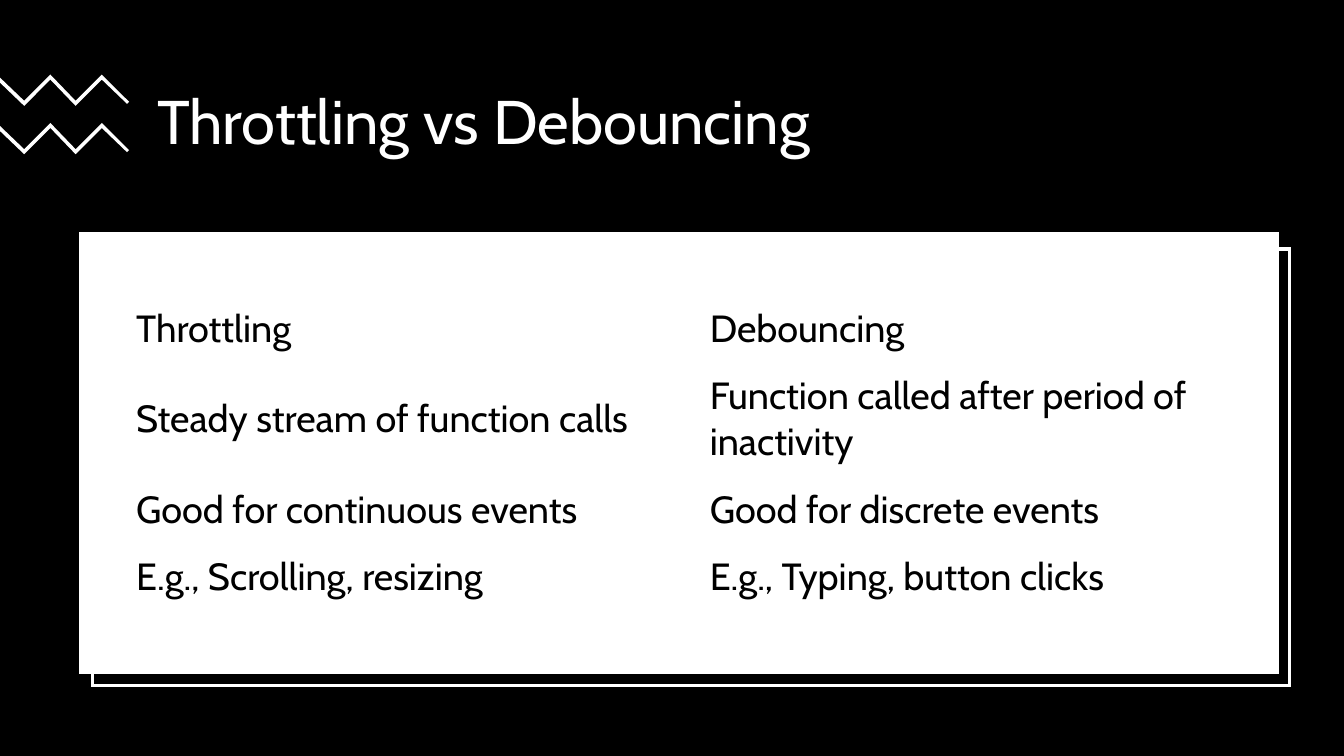
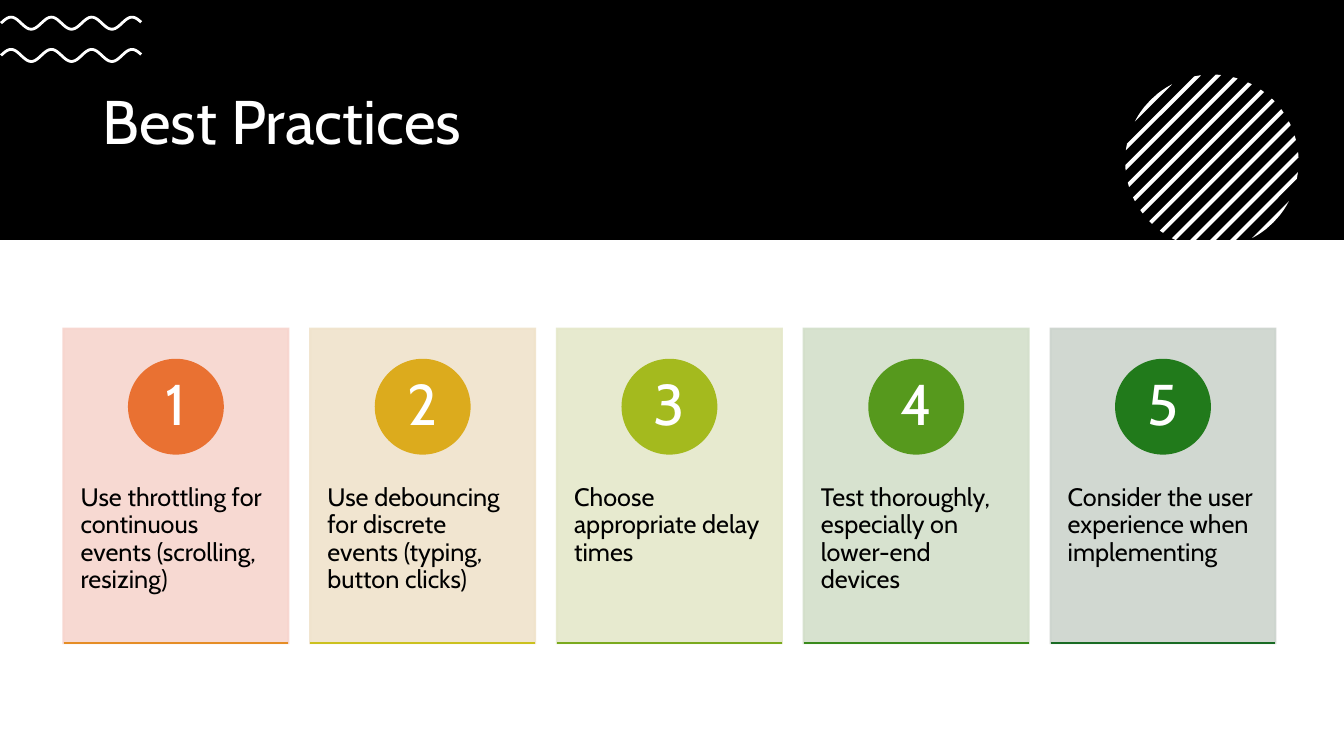
from math import cos, pi, sqrt

from lxml import etree
from pptx import Presentation
from pptx.dml.color import RGBColor
from pptx.enum.shapes import MSO_CONNECTOR, MSO_SHAPE
from pptx.enum.text import MSO_ANCHOR, PP_ALIGN
from pptx.oxml.ns import qn
from pptx.util import Inches, Pt

FONT = "Cabin"
BLACK = "000000"
WHITE = "FFFFFF"
SLIDE_W, SLIDE_H = 13.33, 7.5
BAND_H = 2.38

COMPARISON = [
    ("Throttling", "Debouncing"),
    ("Steady stream of function calls", "Function called after period of inactivity"),
    ("Good for continuous events", "Good for discrete events"),
    ("E.g., Scrolling, resizing", "E.g., Typing, button clicks"),
]

# text, card colour, circle colour, rule colour
PRACTICES = [
    ("Use throttling for continuous events (scrolling, resizing)", "F7D5CE", "E97132", "E58D25"),
    ("Use debouncing for discrete events (typing, button clicks)", "F0E3CB", "DCAB1D", "CBC11E"),
    ("Choose appropriate delay times", "E5E8CA", "A4BA1E", "7AAA1E"),
    ("Test thoroughly, especially on lower-end devices", "D3DFCA", "56991D", "398A1C"),
    ("Consider the user experience when implementing", "CCD4CD", "217A1B", "196B24"),
]


def rgb(color):
    return RGBColor.from_string(color)


def paint(sp, fill=None, line=None, width=1.5):
    sp.shadow.inherit = False
    if fill:
        sp.fill.solid()
        sp.fill.fore_color.rgb = rgb(fill)
    else:
        sp.fill.background()
    if line:
        sp.line.color.rgb = rgb(line)
        sp.line.width = Pt(width)
        etree.SubElement(sp.line._ln, qn("a:miter")).set("lim", "800000")
    else:
        sp.line.fill.background()


def set_alpha(sp, percent):
    """Make the fill and the line of a shape partly transparent."""
    for clr in sp.fill._xPr.iter(qn("a:srgbClr")):
        etree.SubElement(clr, qn("a:alpha")).set("val", str(percent * 1000))


def add_preset(s, kind, x, y, w, h, fill, line=None, width=1.5):
    sp = s.shapes.add_shape(kind, Inches(x), Inches(y), Inches(w), Inches(h))
    paint(sp, fill, line, width)
    return sp


def add_outline(s, points, closed, **style):
    corners = [(Inches(x), Inches(y)) for x, y in points]
    builder = s.shapes.build_freeform(*corners[0])
    builder.add_line_segments(corners[1:], close=closed)
    paint(builder.convert_to_shape(), **style)


def write(tf, text, size, color, anchor, margins, align=PP_ALIGN.LEFT, spacing=0.9):
    """Fill a text frame or table cell; margins are (horizontal, top, bottom)."""
    side, top, bottom = margins
    tf.margin_left = tf.margin_right = Inches(side)
    tf.margin_top, tf.margin_bottom = Inches(top), Inches(bottom)
    tf.vertical_anchor = anchor
    tf.text = text
    p = getattr(tf, "text_frame", tf).paragraphs[0]
    p.alignment = align
    p.line_spacing = spacing
    p.font.size = Pt(size)
    p.font.name = FONT
    p.font.color.rgb = rgb(color)


def add_header(s, text, left, width, band_height):
    add_preset(s, MSO_SHAPE.RECTANGLE, 0, 0, SLIDE_W, band_height, BLACK)
    box = s.shapes.add_textbox(Inches(left), Inches(0.62), Inches(width), Inches(1.23))
    box.text_frame.word_wrap = True
    write(box.text_frame, text, 44, WHITE, MSO_ANCHOR.MIDDLE, (0.1, 0.05, 0.05))


def add_zigzag(s, top):
    upper = [(0, top + 0.03), (0.24, top + 0.26), (0.5, top), (0.75, top + 0.26),
             (1.01, top), (1.28, top + 0.27)]
    lower = [(x, y + 0.05) for x, y in upper[:-1]] + [(1.26, top + 0.29)]
    add_outline(s, upper + lower[::-1], True, fill=WHITE)


def add_wave(s, middle):
    crest, period, amplitude, steps = 0.11, 0.4, 0.06, 70
    xs = [0.01 + 1.39 * i / steps for i in range(steps + 1)]
    points = [(x, middle - amplitude * cos(2 * pi * (x - crest) / period)) for x in xs]
    add_outline(s, points, False, line=WHITE, width=2)


def add_striped_circle(s, cx, cy, radius, bottom):
    """Diagonal stripes inside a circle that is cut off at the bottom."""
    stripes, pitch, thickness, steps = 13, 0.14, 0.04, 8

    def chord_end(offset, side):
        half = side * sqrt(max(radius ** 2 - offset ** 2, 0))
        x, y = cx + (offset + half) / sqrt(2), cy + (offset - half) / sqrt(2)
        cut = max(y - bottom, 0)
        return x + cut, y - cut

    for i in range(stripes):
        start = (i - stripes // 2) * pitch - thickness / 2
        offsets = [max(-radius, min(radius, start + thickness * k / steps))
                   for k in range(steps + 1)]
        right = [chord_end(d, 1) for d in offsets]
        left = [chord_end(d, -1) for d in reversed(offsets)]
        add_outline(s, right + left, True, fill=WHITE)


def add_comparison_table(s):
    widths, heights = (5.69, 5.53), (0.67, 1.12, 0.67, 0.67)
    frame = s.shapes.add_table(len(heights), len(widths), Inches(1.2), Inches(2.93),
                               Inches(sum(widths)), Inches(sum(heights)))
    table = frame.table
    table.first_row = table.horz_banding = False
    for column, width in zip(table.columns, widths):
        column.width = Inches(width)
    for row, height, texts in zip(table.rows, heights, COMPARISON):
        row.height = Inches(height)
        for cell, text in zip(row.cells, texts):
            cell.fill.background()
            write(cell, text, 27, BLACK, MSO_ANCHOR.MIDDLE, (0.15, 0.08, 0.08), spacing=1.0)


def add_practice_card(s, number, left, width, text, card_color, circle_color, rule_color):
    top, height, diameter = 3.26, 3.12, 0.93
    card = add_preset(s, MSO_SHAPE.RECTANGLE, left, top, width, height, card_color, card_color)
    set_alpha(card, 90)
    write(card.text_frame, text, 18, BLACK, MSO_ANCHOR.TOP, (0.17, 1.55, 0.36))

    circle = add_preset(s, MSO_SHAPE.OVAL, left + (width - diameter) / 2, top + 0.31,
                        diameter, diameter, circle_color, circle_color)
    write(circle.text_frame, str(number), 41, WHITE, MSO_ANCHOR.MIDDLE,
          (0, 0.01, 0), PP_ALIGN.CENTER)

    y = Inches(top + height)
    rule = s.shapes.add_connector(MSO_CONNECTOR.STRAIGHT, Inches(left), y,
                                  Inches(left + width), y)
    rule.line.color.rgb = rgb(rule_color)
    rule.line.width = Pt(1.5)
    etree.SubElement(rule.line._ln.getparent(), qn("a:effectLst"))


def build_comparison(s):
    add_header(s, "Throttling vs Debouncing", 1.46, 10.66, SLIDE_H)
    for top in (0.74, 1.22):
        add_zigzag(s, top)
    add_preset(s, MSO_SHAPE.RECTANGLE, 0.92, 2.47, 11.87, 4.33, BLACK, WHITE, 2.25)
    add_preset(s, MSO_SHAPE.RECTANGLE, 0.8, 2.32, 11.87, 4.35, WHITE, WHITE, 2.25)
    add_comparison_table(s)


def build_practices(s):
    add_header(s, "Best Practices", 0.92, 11.5, BAND_H)
    for middle in (0.23, 0.55):
        add_wave(s, middle)
    add_striped_circle(s, 12.02, 1.6, 0.86, BAND_H)
    left, right, width = 0.63, 12.65, 2.23
    pitch = (right - left - width) / (len(PRACTICES) - 1)
    for i, practice in enumerate(PRACTICES):
        add_practice_card(s, i + 1, left + pitch * i, width, *practice)


def main():
    prs = Presentation()
    prs.slide_width, prs.slide_height = Inches(SLIDE_W), Inches(SLIDE_H)
    for build in (build_comparison, build_practices):
        build(prs.slides.add_slide(prs.slide_layouts[6]))
    prs.save("out.pptx")


if __name__ == "__main__":
    main()
